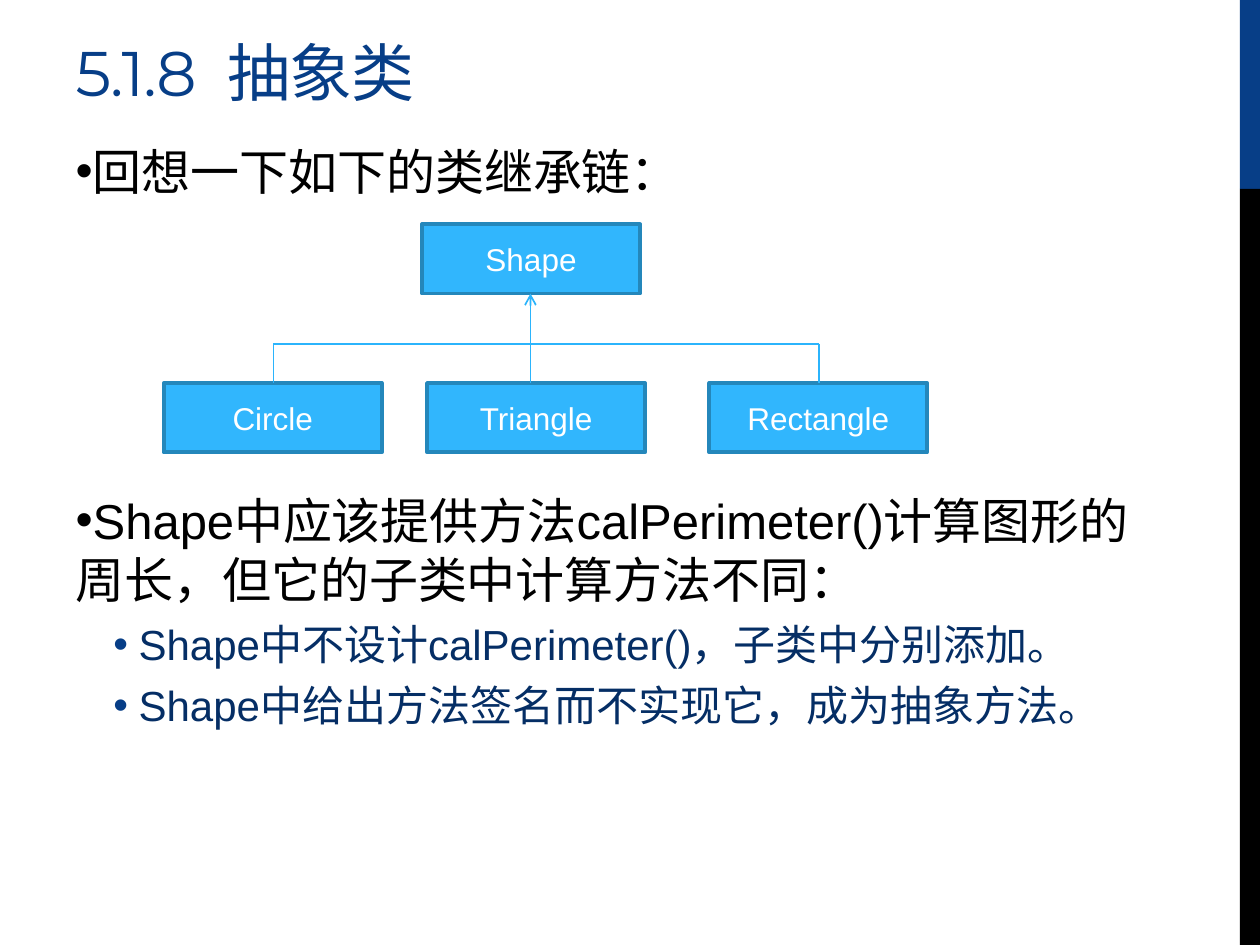
import pptx
import pptx.util
import pptx.dml.color
import pptx.enum.shapes
import pptx.enum.text
import pptx.oxml
import pptx.oxml.ns
from dataclasses import dataclass

Inches = pptx.util.Inches
Pt = pptx.util.Pt
Color = pptx.dml.color.RGBColor.from_string
Align = pptx.enum.text.PP_ALIGN
Anchor = pptx.enum.text.MSO_ANCHOR
Rect = pptx.enum.shapes.MSO_SHAPE.RECTANGLE
Straight = pptx.enum.shapes.MSO_CONNECTOR.STRAIGHT


@dataclass
class Theme:
    navy: str = "073E87"
    deep: str = "052E65"
    black: str = "000000"
    white: str = "FFFFFF"
    fill: str = "31B6FD"
    edge: str = "2487BB"
    wire: str = "2BB4FC"
    head: str = "Montserrat"
    text: str = "Arial"
    title: int = 36
    main: int = 28
    sub: int = 24
    label: int = 18


theme = Theme()


def style(par, face, size, color):
    par.font.name = face
    par.font.size = Pt(size)
    par.font.color.rgb = Color(color)


def add(parent, tag, **attrs):
    child = pptx.oxml.parse_xml(f"<a:{tag} {pptx.oxml.ns.nsdecls('a')}/>")
    for key, value in attrs.items():
        child.set(key, value)
    parent.append(child)
    return child


deck = pptx.Presentation()
deck.slide_width, deck.slide_height = Inches(10), Inches(7.5)
slide = deck.slides.add_slide(deck.slide_layouts[1])
shapes = slide.shapes

title = shapes.title
title.left, title.top = Inches(0.5), Inches(0.17)
title.width, title.height = Inches(8.83), Inches(0.75)
title.text_frame.text = "5.1.8  抽象类"
title.text_frame.vertical_anchor = Anchor.BOTTOM
title.text_frame.auto_size = pptx.enum.text.MSO_AUTO_SIZE.NONE
par = title.text_frame.paragraphs[0]
par.alignment = Align.LEFT
style(par, theme.head, theme.title, theme.navy)
par.runs[0]._r.get_or_add_rPr().set("spc", "-60")

body = slide.placeholders[1]
body.left, body.top = Inches(0.5), Inches(1.07)
body.width, body.height = Inches(8.83), Inches(5.75)
frame = body.text_frame
frame.auto_size = pptx.enum.text.MSO_AUTO_SIZE.NONE
items = [
    (0, 0, "回想一下如下的类继承链："),
    (0, 166, "Shape中应该提供方法calPerimeter()计算图形的周长，但它的子类中计算方法不同："),
    (1, 6, "Shape中不设计calPerimeter()，子类中分别添加。"),
    (1, 6, "Shape中给出方法签名而不实现它，成为抽象方法。"),
]
looks = [
    (0, 0, theme.black, theme.main, theme.black),
    (0.5, -0.2, theme.navy, theme.sub, theme.deep),
]
for row, (level, gap, text) in enumerate(items):
    par = frame.add_paragraph() if row else frame.paragraphs[0]
    left, hang, dot, size, color = looks[level]
    par.text = text
    par.level = level
    par.space_before = Pt(gap)
    props = par._p.get_or_add_pPr()
    props.set("marL", str(Inches(left)))
    props.set("indent", str(Inches(hang)))
    add(add(props, "buClr"), "srgbClr", val=dot)
    add(props, "buFont", typeface=theme.text)
    add(props, "buChar", char="•")
    style(par, theme.text, size, color)

for top, high, color in [(0, 1.5, theme.navy), (1.5, 6, theme.black)]:
    bar = shapes.add_shape(Rect, Inches(9.84), Inches(top), Inches(0.16), Inches(high))
    bar.shadow.inherit = False
    bar.fill.solid()
    bar.fill.fore_color.rgb = Color(color)
    bar.line.fill.background()

nodes = [
    ("Shape", 3.35, 1.78),
    ("Rectangle", 5.63, 3.04),
    ("Triangle", 3.39, 3.04),
    ("Circle", 1.3, 3.04),
]
for name, left, top in nodes:
    box = shapes.add_shape(Rect, Inches(left), Inches(top), Inches(1.73), Inches(0.55))
    box.shadow.inherit = False
    box.fill.solid()
    box.fill.fore_color.rgb = Color(theme.fill)
    box.line.color.rgb = Color(theme.edge)
    box.line.width = Pt(2.25)
    box.text_frame.text = name
    box.text_frame.vertical_anchor = Anchor.MIDDLE
    par = box.text_frame.paragraphs[0]
    par.alignment = Align.CENTER
    style(par, theme.text, theme.label, theme.white)

west, mid, east = 2.17, 4.21, 6.5
roof, rail, floor = 2.33, 2.73, 3.04
wires = [(west, rail, east, rail), (mid, rail, mid, roof)]
wires += [(x, rail, x, floor) for x in (west, east, mid)]
for ends in wires:
    wire = shapes.add_connector(Straight, *map(Inches, ends))
    wire.line.color.rgb = Color(theme.wire)
    wire.line.width = Pt(1)
    if ends[3] == roof:
        add(wire.line._get_or_add_ln(), "tailEnd", type="arrow")
    add(wire._element.spPr, "effectLst")

deck.save("out.pptx")
